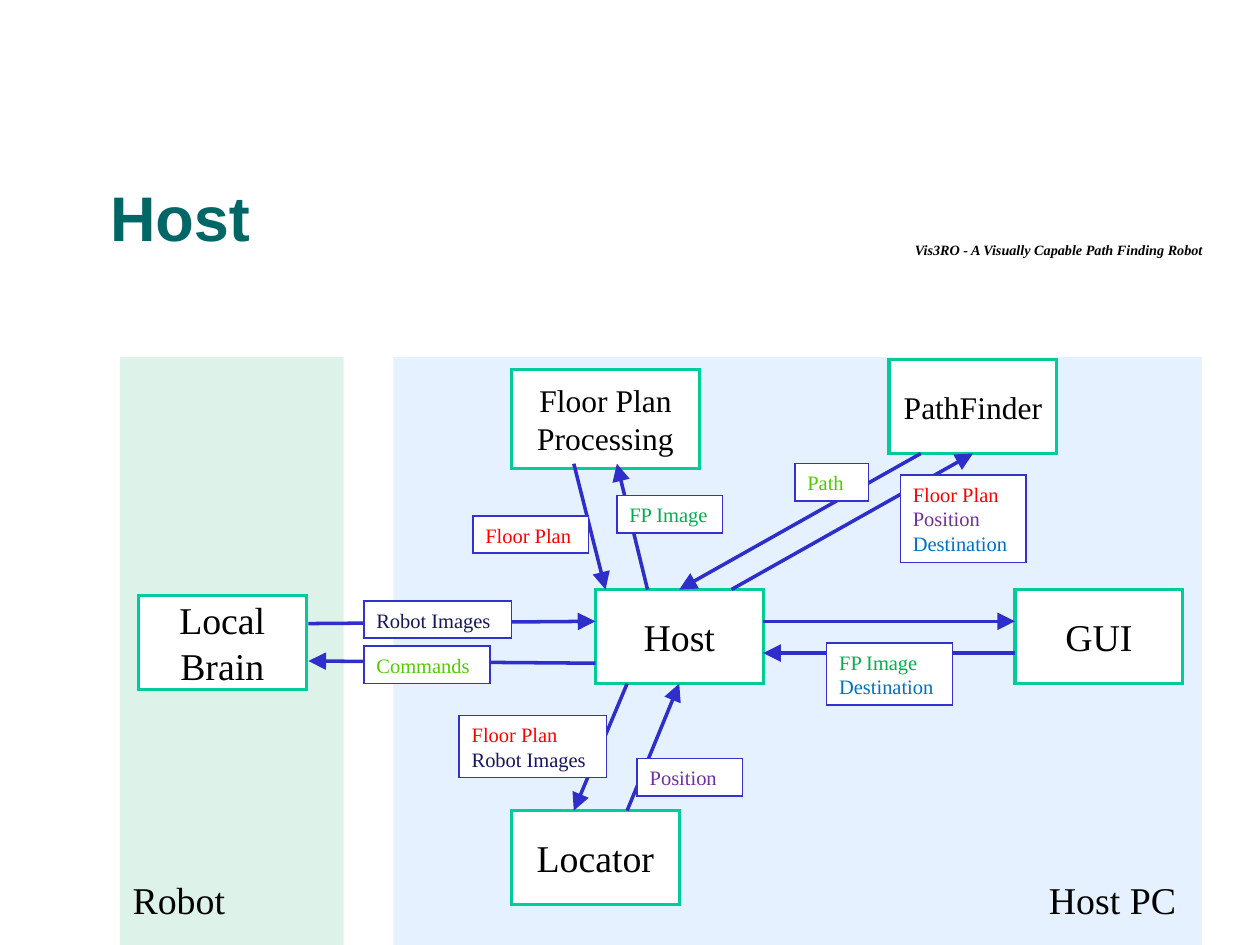
import lxml.etree
import pptx
import pptx.dml.color
import pptx.enum.shapes
import pptx.enum.text
import pptx.oxml.ns
import pptx.util

Inches = pptx.util.Inches
RGBColor = pptx.dml.color.RGBColor
ANCHOR = pptx.enum.text.MSO_ANCHOR
ALIGN = pptx.enum.text.PP_ALIGN
RECTANGLE = pptx.enum.shapes.MSO_SHAPE.RECTANGLE
STRAIGHT = pptx.enum.shapes.MSO_CONNECTOR.STRAIGHT
qn = pptx.oxml.ns.qn

# 11.11 by 8.34 inches, in whole units.
SLIDE_WIDTH = pptx.util.Emu(10160000)
SLIDE_HEIGHT = pptx.util.Emu(7621588)

BLACK = RGBColor(0x00, 0x00, 0x00)
WHITE = RGBColor(0xFF, 0xFF, 0xFF)
TITLE_TEAL = RGBColor(0x00, 0x66, 0x66)
ROBOT_GREEN = RGBColor(0xDD, 0xF3, 0xEA)
HOST_BLUE = RGBColor(0xE5, 0xF1, 0xFF)
NODE_LINE = RGBColor(0x00, 0xCC, 0x99)
LABEL_LINE = RGBColor(0x33, 0x33, 0xCC)
ARROW_BLUE = RGBColor(0x2E, 0x2E, 0xCB)
DATA_COLORS = {
    "Floor Plan": RGBColor(0xFF, 0x00, 0x00),
    "Position": RGBColor(0x70, 0x30, 0xA0),
    "Destination": RGBColor(0x00, 0x70, 0xC0),
    "FP Image": RGBColor(0x00, 0xB0, 0x50),
    "Robot Images": RGBColor(0x16, 0x16, 0x5D),
    "Path": RGBColor(0x52, 0xCA, 0x00),
    "Commands": RGBColor(0x52, 0xCA, 0x00),
}

SERIF = "Times New Roman"
TOP, BOTTOM = 0, 2
NODE_WIDTH, NODE_HEIGHT = 1.48, 0.83

# Boxes are left, top, width, height in inches.
TITLE_BOX = (0.97, 0.98, 9.53, 1.28)
TAGLINE_BOX = (7.97, 2.08, 2.8, 0.4)
DIAGRAM_BOX = (1.06, 3.15, 9.54, 5.19)

# Node name: offset in the diagram, size, text size.
NODES = {
    "GUI": (7.89, 2.05, NODE_WIDTH, NODE_HEIGHT, 24),
    "Local Brain": (0.16, 2.1, NODE_WIDTH, NODE_HEIGHT, 24),
    "Floor Plan Processing": (3.45, 0.11, 1.66, 0.87, 20),
    "Locator": (3.45, 4, NODE_WIDTH, NODE_HEIGHT, 24),
    "Host": (4.19, 2.05, NODE_WIDTH, NODE_HEIGHT, 24),
    "PathFinder": (6.78, 0.02, NODE_WIDTH, NODE_HEIGHT, 20),
}

# Each end is a node and either a connection site or an offset in the node.
# Each label is its offset in the diagram, its width and its data items.
FLOWS = [
    ("Host", (0.46, 0), "Floor Plan Processing", (0.93, 0.83),
     (4.38, 1.22, 0.93, ["FP Image"])),
    ("Floor Plan Processing", (0.55, 0.83), "Host", (0.09, 0),
     (3.11, 1.4, 1.02, ["Floor Plan"])),
    ("Host", (1.2, 0), "PathFinder", BOTTOM,
     (6.88, 1.04, 1.11, ["Floor Plan", "Position", "Destination"])),
    ("PathFinder", (0.28, 0.83), "Host", TOP, (5.95, 0.94, 0.65, ["Path"])),
    ("Host", (1.48, 0.28), "GUI", (0, 0.28), None),
    ("GUI", (0, 0.56), "Host", (1.48, 0.56),
     (6.23, 2.52, 1.11, ["FP Image", "Destination"])),
    ("Host", (0.28, 0.83), "Locator", (0.55, 0),
     (2.99, 3.16, 1.3, ["Floor Plan", "Robot Images"])),
    ("Locator", (1.02, 0), "Host", BOTTOM, (4.56, 3.54, 0.93, ["Position"])),
    ("Local Brain", (1.5, 0.25), "Host", (0, 0.28),
     (2.15, 2.15, 1.3, ["Robot Images"])),
    ("Host", (0, 0.65), "Local Brain", (1.5, 0.58),
     (2.15, 2.55, 1.11, ["Commands"])),
]


def inches(box):
    return [Inches(length) for length in box]


def set_text(shape, text, size, color=BLACK, font=SERIF, align=ALIGN.LEFT,
             anchor=ANCHOR.TOP, margins=(0.11, 0.06)):
    frame = shape.text_frame
    frame.text = text
    frame.word_wrap = True
    frame.auto_size = pptx.enum.text.MSO_AUTO_SIZE.NONE
    frame.vertical_anchor = anchor
    frame.margin_left = frame.margin_right = Inches(margins[0])
    frame.margin_top = frame.margin_bottom = Inches(margins[1])
    for paragraph in frame.paragraphs:
        paragraph.alignment = align
        for run in paragraph.runs:
            run.font.name = font
            run.font.size = pptx.util.Pt(size)
            run.font.color.rgb = color
    return frame


def add_rectangle(slide, box, fill, line=None, line_width=1):
    shape = slide.shapes.add_shape(RECTANGLE, *inches(box))
    shape.shadow.inherit = False
    shape.fill.solid()
    shape.fill.fore_color.rgb = fill
    if line is None:
        shape.line.fill.background()
    else:
        shape.line.color.rgb = line
        shape.line.width = pptx.util.Pt(line_width)
        outline = shape.element.spPr.find(qn("a:ln"))
        lxml.etree.SubElement(outline, qn("a:miter"), lim="800000")
    return shape


def add_header(slide, title_box, tagline_box):
    title = slide.shapes.title
    title.left, title.top, title.width, title.height = inches(title_box)
    frame = set_text(title, "Host", 40, TITLE_TEAL, "Arial",
                     anchor=ANCHOR.BOTTOM, margins=(0, 0))
    frame.paragraphs[0].line_spacing = 0.95
    frame.paragraphs[0].runs[0].font.bold = True

    tagline = slide.shapes.add_textbox(*inches(tagline_box))
    frame = set_text(tagline, "Vis3RO - A Visually Capable Path Finding Robot",
                     9, margins=(0.1, 0.05))
    font = frame.paragraphs[0].runs[0].font
    font.bold = font.italic = True


def add_zone(slide, box, fill, caption, caption_offset, caption_width):
    left, top, _, height = box
    add_rectangle(slide, box, fill)
    caption_box = (left + caption_offset, top + height - 0.67,
                   caption_width, 0.51)
    set_text(slide.shapes.add_textbox(*inches(caption_box)), caption, 24)


def add_node(slide, box, name, size):
    node = add_rectangle(slide, box, WHITE, NODE_LINE, 2)
    set_text(node, name, size, align=ALIGN.CENTER, anchor=ANCHOR.MIDDLE)
    return node


def add_arrow(slide, source, start, target, end):
    """Draw an arrow, joined to a node where an end is a connection site."""
    points = []
    for node, place in ((source, start), (target, end)):
        dx, dy = (0, 0) if isinstance(place, int) else place
        points += [node.left + Inches(dx), node.top + Inches(dy)]
    arrow = slide.shapes.add_connector(STRAIGHT, *points)
    if isinstance(start, int):
        arrow.begin_connect(source, start)
    if isinstance(end, int):
        arrow.end_connect(target, end)
    arrow.line.color.rgb = ARROW_BLUE
    arrow.line.width = pptx.util.Pt(2.25)
    properties = arrow.element.spPr
    lxml.etree.SubElement(properties.find(qn("a:ln")), qn("a:tailEnd"),
                          type="triangle", w="lg", len="lg")
    lxml.etree.SubElement(properties, qn("a:effectLst"))


def add_label(slide, left, top, width, items):
    box = (left, top, width, 0.11 + 0.22 * len(items))
    label = add_rectangle(slide, box, WHITE, LABEL_LINE)
    frame = set_text(label, "\n".join(items), 13)
    for paragraph, item in zip(frame.paragraphs, items):
        paragraph.runs[0].font.color.rgb = DATA_COLORS[item]


def add_diagram(slide, box):
    left, top, width, height = box
    add_zone(slide, (left, top, 1.97, height), ROBOT_GREEN, "Robot", 0, 1.2)
    add_zone(slide, (left + 2.41, top, width - 2.41, height), HOST_BLUE,
             "Host PC", 5.67, 1.46)
    nodes = {
        name: add_node(slide, (left + x, top + y, w, h), name, size)
        for name, (x, y, w, h, size) in NODES.items()
    }
    for source, start, target, end, _ in FLOWS:
        add_arrow(slide, nodes[source], start, nodes[target], end)
    for *_, label in FLOWS:
        if label:
            x, y, label_width, items = label
            add_label(slide, left + x, top + y, label_width, items)


def main():
    presentation = pptx.Presentation()
    presentation.slide_width = SLIDE_WIDTH
    presentation.slide_height = SLIDE_HEIGHT
    slide = presentation.slides.add_slide(presentation.slide_layouts[5])
    add_header(slide, TITLE_BOX, TAGLINE_BOX)
    add_diagram(slide, DIAGRAM_BOX)
    presentation.save("out.pptx")


if __name__ == "__main__":
    main()
